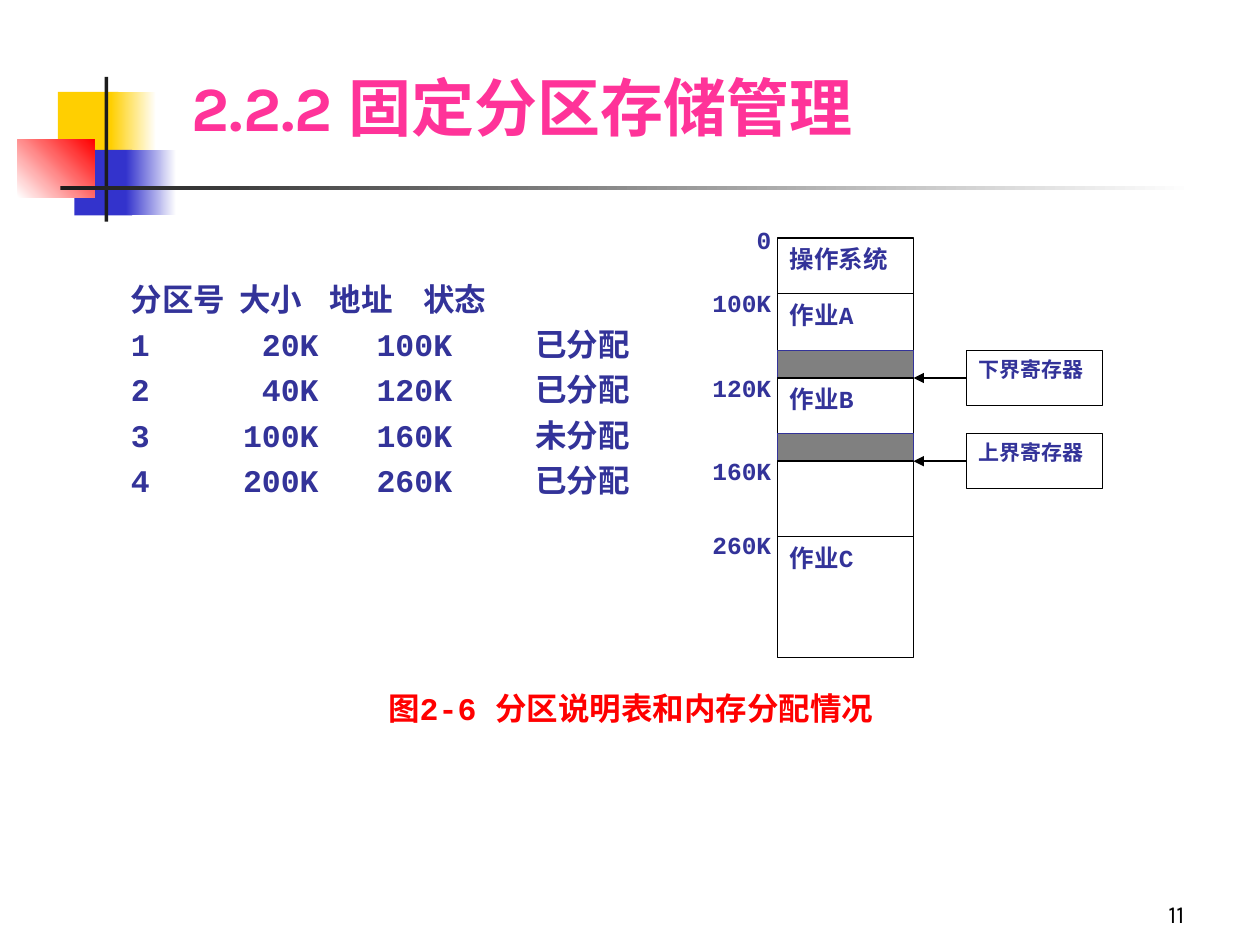
from lxml import etree
from pptx import Presentation
from pptx import util as u
from pptx.dml.color import RGBColor
from pptx.enum import shapes, text
from pptx.oxml.ns import qn

HUES = {
    "gold": "FFCF01", "blue": "3333CC", "red": "FF0000", "ink": "1C1C1C",
    "white": "FFFFFF", "black": "000000", "gray": "808080",
    "navy": "333399", "pink": "FF3399",
}
ALIGN = text.PP_ALIGN
TOP, BASE = text.MSO_ANCHOR.TOP, text.MSO_ANCHOR.BOTTOM


def hue(name):
    return RGBColor.from_string(HUES[name])


def write(box, lines, size=14, color="navy", font="Courier New", bold=True,
          align=ALIGN.LEFT, anchor=TOP, space=None, tabs=()):
    frame = box.text_frame
    frame.word_wrap = True
    frame.auto_size = text.MSO_AUTO_SIZE.NONE
    frame.vertical_anchor = anchor
    frame.text = lines
    for i, para in enumerate(frame.paragraphs):
        if tabs:
            stops = etree.SubElement(para._p.get_or_add_pPr(), qn("a:tabLst"))
            for pos, side in tabs[min(i, len(tabs) - 1)]:
                etree.SubElement(stops, qn("a:tab"), pos=str(u.Inches(pos)), algn=side)
        para.alignment = align
        if space:
            para.line_spacing = space
        for run in para.runs:
            run.font.size = u.Pt(size)
            run.font.name = font
            run.font.bold = bold
            run.font.color.rgb = hue(color)


def block(x, y, w, h, fill, end=None, angle=0, line=None):
    shape = slide.shapes.add_shape(
        shapes.MSO_SHAPE.RECTANGLE, u.Inches(x), u.Inches(y), u.Inches(w), u.Inches(h))
    shape.shadow.inherit = False
    if end:
        shape.fill.gradient()
        shape.fill.gradient_angle = angle
        for stop, name in zip(shape.fill.gradient_stops, (fill, end)):
            stop.color.rgb = hue(name)
    else:
        shape.fill.solid()
        shape.fill.fore_color.rgb = hue(fill)
    if line:
        shape.line.color.rgb = hue(line)
        shape.line.width = u.Pt(0.75)
    else:
        shape.line.fill.background()
    return shape


deck = Presentation()
deck.slide_width, deck.slide_height = u.Inches(10), u.Inches(7.5)
slide = deck.slides.add_slide(deck.slide_layouts[5])

block(0.46, 0.73, 0.48, 0.52, "gold")
block(0.88, 0.73, 0.36, 0.52, "gold", end="white")
block(0.59, 1.19, 0.46, 0.52, "blue")
block(1, 1.19, 0.4, 0.52, "blue", end="white")
block(0.14, 1.11, 0.61, 0.46, "white", end="red", angle=45)
block(0.83, 0.61, 0.03, 1.15, "ink")
block(0.48, 1.48, 9, 0.03, "ink", end="white")

title = slide.shapes.title
title.left, title.top = u.Inches(1.42), u.Inches(0.27)
title.width, title.height = u.Inches(6.17), u.Inches(0.92)
write(title, "2.2.2 固定分区存储管理", size=36, color="pink", font="Karla", anchor=BASE)

rows = [
    ("分区号", "大小", "地址", "状态"),
    ("1", "20K", "100K", "已分配"),
    ("2", "40K", "120K", "已分配"),
    ("3", "100K", "160K", "未分配"),
    ("4", "200K", "260K", "已分配"),
]
head = [(0.86, "l"), (1.58, "l"), (2.32, "l")]
body = [(1.49, "r"), (1.95, "l"), (3.21, "l")]
write(block(0.94, 2.11, 4.25, 2.14, "white"), "\n".join("\t".join(row) for row in rows),
      size=18, space=1.2, tabs=(head, body))

cells = [
    (1.89, "操作系统"), (2.33, "作业A"), (2.78, None), (3, "作业B"),
    (3.44, None), (3.66, ""), (4.26, "作业C"),
]
ends = [top for top, name in cells[1:]] + [5.22]
for (top, name), end in zip(cells, ends):
    used = name is not None
    cell = block(6.17, top, 1.08, end - top, "white" if used else "gray",
                 line="black" if used else "navy")
    if name:
        write(cell, name, align=ALIGN.JUSTIFY)

for top, name in ((2.78, "下界寄存器"), (3.44, "上界寄存器")):
    write(block(7.67, top, 1.08, 0.44, "white", line="black"), name,
          size=12, align=ALIGN.JUSTIFY)
    y = u.Inches(top + 0.22)
    arrow = slide.shapes.add_connector(
        shapes.MSO_CONNECTOR.STRAIGHT, u.Inches(7.67), y, u.Inches(7.25), y)
    arrow.line.color.rgb = hue("black")
    arrow.line.width = u.Pt(1)
    etree.SubElement(arrow.line._get_or_add_ln(), qn("a:tailEnd"), type="triangle")
    etree.SubElement(arrow._element.spPr, qn("a:effectLst"))

notes = [
    (5.5, top, 0.72, 0.44, name, {})
    for top, name in ((1.74, "0"), (2.24, "100K"), (2.91, "120K"),
                      (3.57, "160K"), (4.16, "260K"))
]
notes += [
    (2.86, 5.42, 4.17, 0.44, "图2-6 分区说明表和内存分配情况", {"size": 18, "color": "red"}),
    (7.42, 6.92, 2.08, 0.5, "11",
     {"color": "black", "font": "Karla", "bold": False, "anchor": BASE}),
]
for x, y, w, h, words, style in notes:
    box = slide.shapes.add_textbox(u.Inches(x), u.Inches(y), u.Inches(w), u.Inches(h))
    write(box, words, align=ALIGN.RIGHT, **style)

deck.save("out.pptx")
